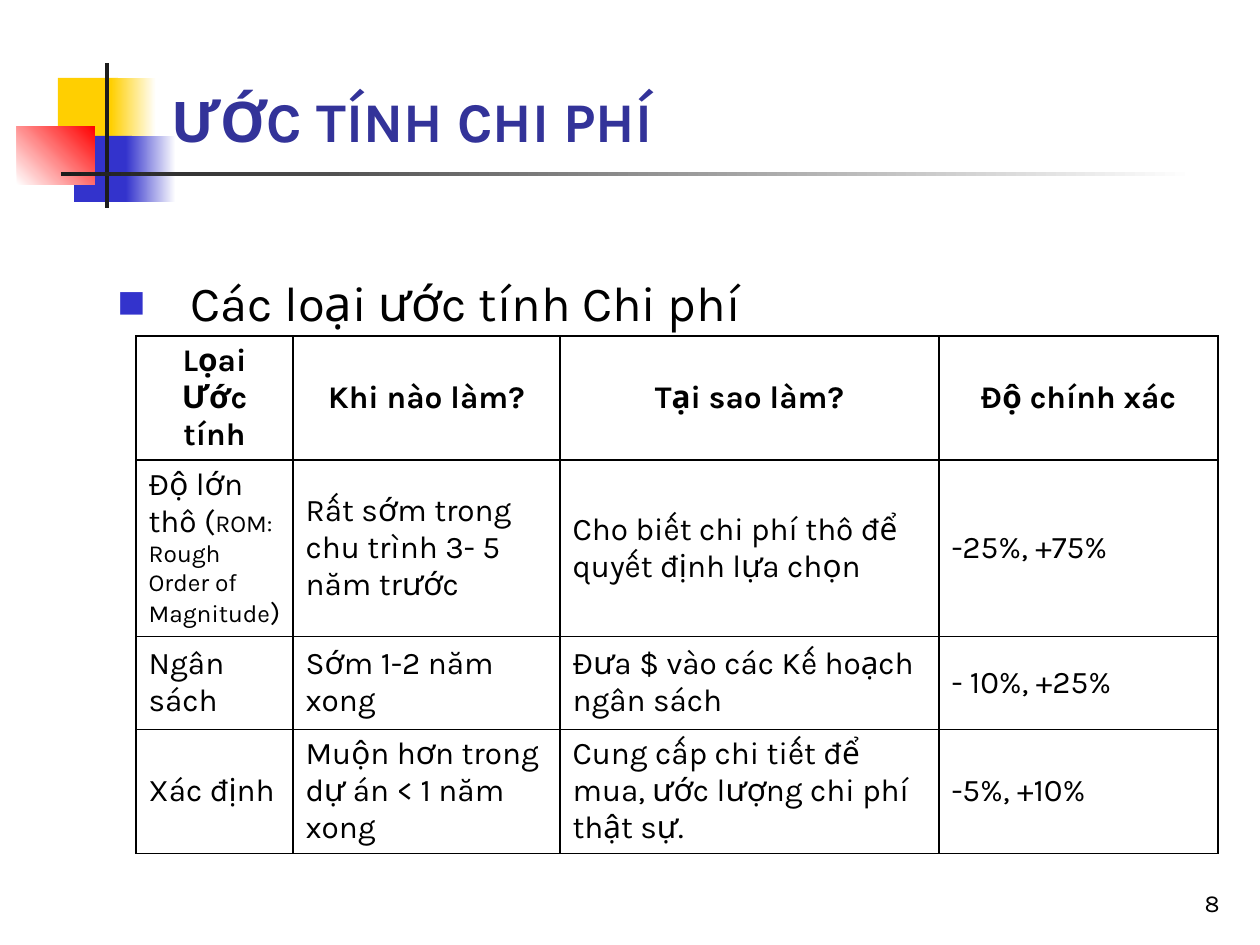
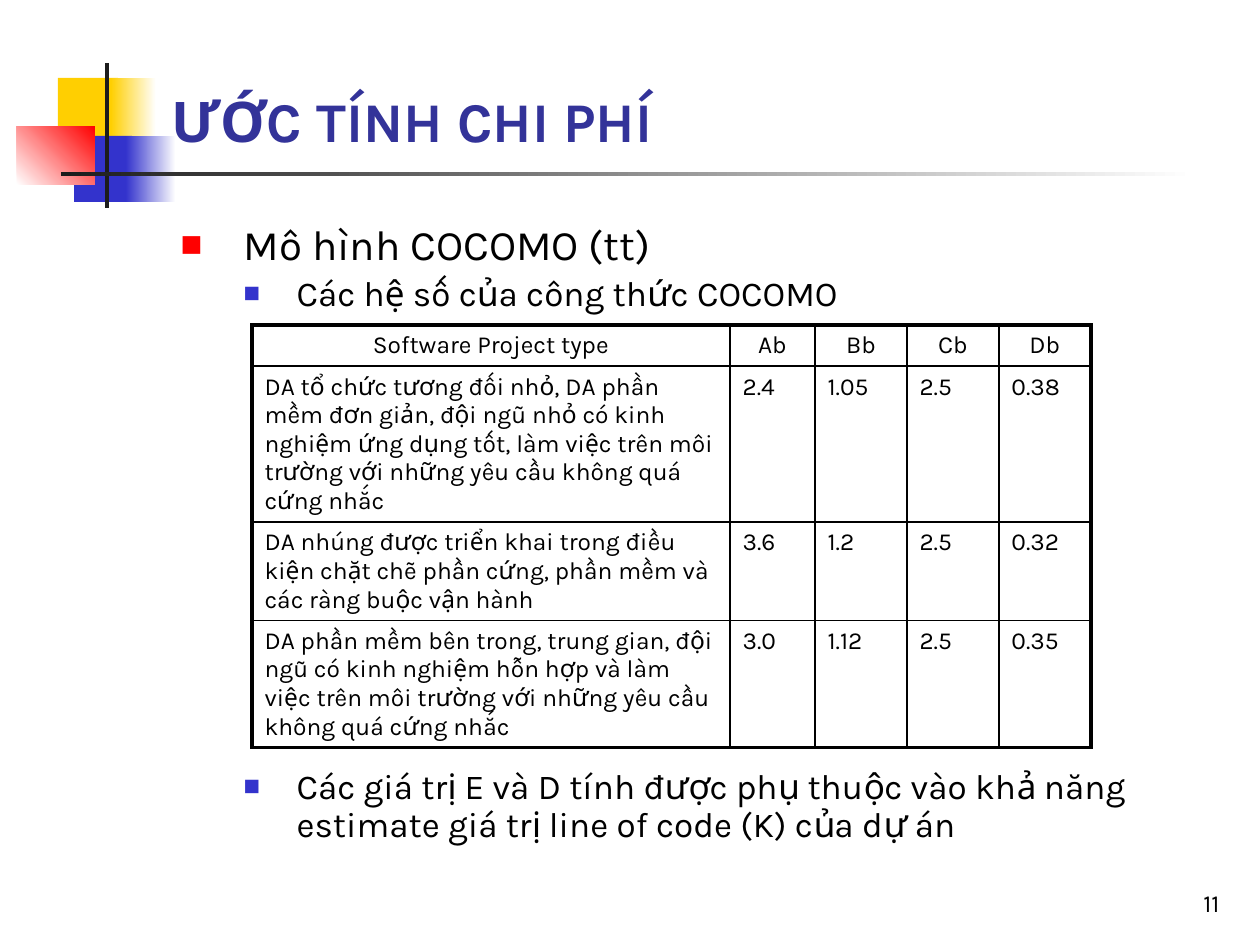
from lxml.etree import SubElement
from pptx import Presentation
from pptx.dml.color import RGBColor
from pptx.enum.shapes import MSO_SHAPE
from pptx.enum.text import MSO_ANCHOR, MSO_AUTO_SIZE, PP_ALIGN
from pptx.oxml.ns import qn
from pptx.oxml.xmlchemy import OxmlElement
from pptx.util import Emu, Pt

FONT = "Karla"
YELLOW, BLUE, RED, DARK = "FFCF01", "3333CC", "FF0000", "1C1C1C"
NAVY, BLACK, WHITE = "333399", "000000", "FFFFFF"
TITLE = "ƯỚC TÍNH CHI PHÍ"
rgb = RGBColor.from_string


def px(n):
    """Slide pixels (126 to the inch) as EMU."""
    return Emu(round(n * 914400 / 126))


def write(p, text, size, color=BLACK, bold=False):
    """Add one formatted run to a paragraph."""
    r = p.add_run()
    r.text = text
    for name, value in {"name": FONT, "size": Pt(size), "bold": bold}.items():
        setattr(r.font, name, value)
    r.font.color.rgb = rgb(color)


# Decoration: box, first colour, last colour, gradient angle
DECOR = [
    ((58, 78, 60, 66), YELLOW, None, 0),
    ((111, 78, 45, 66), YELLOW, WHITE, 0),
    ((74, 136, 58, 66), BLUE, None, 0),
    ((126, 136, 50, 66), BLUE, WHITE, 0),
    ((17, 126, 78, 59), WHITE, RED, 45),
    ((105, 63, 4, 145), DARK, None, 0),
    ((61, 172, 1134, 4), DARK, WHITE, 0),
]

# Bullets: text, size, left margin, hanging indent, bullet colour, bullet %, space before
SLIDES = [
    {
        "number": "8",
        "body": (105, 199, 1061, 614),
        "top_inset": 73,
        "line_spacing": 1.0,
        "bullets": [("Các loại ước tính Chi phí", 28, 73, 73, BLUE, 60, 0)],
        "table_at": (136, 336),
        "cols": [157, 267, 379, 279],
        "rows": [124, 176, 93, 124],
        "size": 18,
        "header_bold": True,
        "anchor": MSO_ANCHOR.MIDDLE,
        "outer": 1,
        "cells": [
            ["Lọai Ước tính", "Khi nào làm?", "Tại sao làm?", "Độ chính xác"],
            [[("Độ lớn thô (", 18), ("ROM: Rough Order of Magnitude", 14), (")", 16)],
             "Rất sớm trong chu trình 3- 5 năm trước",
             "Cho biết chi phí thô để quyết định lựa chọn", "-25%, +75%"],
            ["Ngân sách", "Sớm 1-2 năm xong",
             "Đưa $ vào các Kế hoạch ngân sách", "- 10%, +25%"],
            ["Xác định", "Muộn hơn trong dự án < 1 năm xong",
             "Cung cấp chi tiết để mua, ước lượng chi phí thật sự.", "-5%, +10%"],
        ],
    },
    {
        "number": "11",
        "body": (105, 168, 1050, 746),
        "top_inset": 56,
        "line_spacing": 0.9,
        "bullets": [
            ("Mô hình COCOMO (tt)", 24, 126, 63, RED, 55, 0),
            ("Các hệ số của công thức COCOMO", 20, 179, 53, BLUE, 50, 4),
            ("Các giá trị E và D tính được phụ thuộc vào khả năng estimate "
             "giá trị line of code (K) của dự án", 20, 179, 53, BLUE, 50, 260),
        ],
        "table_at": (252, 325),
        "cols": [478, 85, 92, 92, 92],
        "rows": [41, 156, 98, 126],
        "size": 14,
        "header_bold": False,
        "anchor": MSO_ANCHOR.TOP,
        "outer": 2.25,
        "cells": [
            ["Software Project type", "Ab", "Bb", "Cb", "Db"],
            ["DA tổ chức tương đối nhỏ, DA phần mềm đơn giản, đội ngũ nhỏ có kinh "
             "nghiệm ứng dụng tốt, làm việc trên môi trường với những yêu cầu "
             "không quá cứng nhắc", "2.4", "1.05", "2.5", "0.38"],
            ["DA nhúng được triển khai trong điều kiện chặt chẽ phần cứng, phần mềm "
             "và các ràng buộc vận hành", "3.6", "1.2", "2.5", "0.32"],
            ["DA phần mềm bên trong, trung gian, đội ngũ có kinh nghiệm hỗn hợp và "
             "làm việc trên môi trường với những yêu cầu không quá cứng nhắc",
             "3.0", "1.12", "2.5", "0.35"],
        ],
    },
]

prs = Presentation()
prs.slide_width, prs.slide_height = px(1260), px(945)
layout = prs.slide_layouts[1]
layout_title = layout.placeholders[0]
for name, n in zip(("left", "top", "width", "height"), (159, 21, 1074, 139)):
    setattr(layout_title, name, px(n))

for i, d in enumerate(SLIDES):
    s = prs.slides.add_slide(layout)

    # The decoration is built once and moved to the shared layout
    if i == 0:
        for box, first, last, angle in DECOR:
            sp = s.shapes.add_shape(MSO_SHAPE.RECTANGLE, *map(px, box))
            sp.shadow.inherit = False
            sp.line.fill.background()
            if last:
                sp.fill.gradient()
                sp.fill.gradient_angle = angle
                for stop, color in zip(sp.fill.gradient_stops, (first, last)):
                    stop.color.rgb = rgb(color)
            else:
                sp.fill.solid()
                sp.fill.fore_color.rgb = rgb(first)
            layout_title.element.addprevious(sp.element)

    tf = s.shapes.title.text_frame
    tf.vertical_anchor = MSO_ANCHOR.BOTTOM
    tf.auto_size = MSO_AUTO_SIZE.NONE
    p = tf.paragraphs[0]
    p.alignment = PP_ALIGN.LEFT
    write(p, TITLE, 32, NAVY, True)

    body = s.placeholders[1]
    for name, n in zip(("left", "top", "width", "height"), d["body"]):
        setattr(body, name, px(n))
    tf = body.text_frame
    tf.auto_size = MSO_AUTO_SIZE.NONE
    tf.margin_top = px(d["top_inset"])
    for j, (text, size, left, hang, color, pct, before) in enumerate(d["bullets"]):
        p = tf.add_paragraph() if j else tf.paragraphs[0]
        p.line_spacing = d["line_spacing"]
        p.space_before = Pt(before)
        pPr = p._p.get_or_add_pPr()
        pPr.set("marL", str(px(left)))
        pPr.set("indent", str(-px(hang)))
        SubElement(SubElement(pPr, qn("a:buClr")), qn("a:srgbClr"), val=color)
        SubElement(pPr, qn("a:buSzPct"), val=str(pct * 1000))
        SubElement(pPr, qn("a:buFont"), typeface=FONT)
        SubElement(pPr, qn("a:buChar"), char="■")
        write(p, text, size)

    cols, rows = d["cols"], d["rows"]
    table = s.shapes.add_table(len(rows), len(cols), *map(px, d["table_at"]),
                               px(sum(cols)), px(sum(rows))).table
    table.first_row = table.horz_banding = False
    for col, n in zip(table.columns, cols):
        col.width = px(n)
    for row, n in zip(table.rows, rows):
        row.height = px(n)
    for y, values in enumerate(d["cells"]):
        for x, value in enumerate(values):
            cell = table.cell(y, x)
            cell.vertical_anchor = d["anchor"]
            cell.fill.background()
            tcPr = cell._tc.get_or_add_tcPr()
            on_edge = {"L": x == 0, "R": x == len(cols) - 1,
                       "T": y == 0, "B": y == len(rows) - 1}
            for k, (side, outside) in enumerate(on_edge.items()):
                ln = OxmlElement("a:ln" + side)
                ln.set("w", str(Pt(d["outer"] if outside else 1)))
                SubElement(SubElement(ln, qn("a:solidFill")), qn("a:srgbClr"), val=BLACK)
                tcPr.insert(k, ln)
            p = cell.text_frame.paragraphs[0]
            p.alignment = PP_ALIGN.LEFT if y else PP_ALIGN.CENTER
            runs = value if isinstance(value, list) else [(value, d["size"])]
            for text, size in runs:
                write(p, text, size, bold=d["header_bold"] and y == 0)

    tf = s.shapes.add_textbox(*map(px, (970, 861, 262, 63))).text_frame
    tf.word_wrap = True
    tf.vertical_anchor = MSO_ANCHOR.BOTTOM
    p = tf.paragraphs[0]
    p.alignment = PP_ALIGN.RIGHT
    write(p, d["number"], 14)

prs.save("out.pptx")
